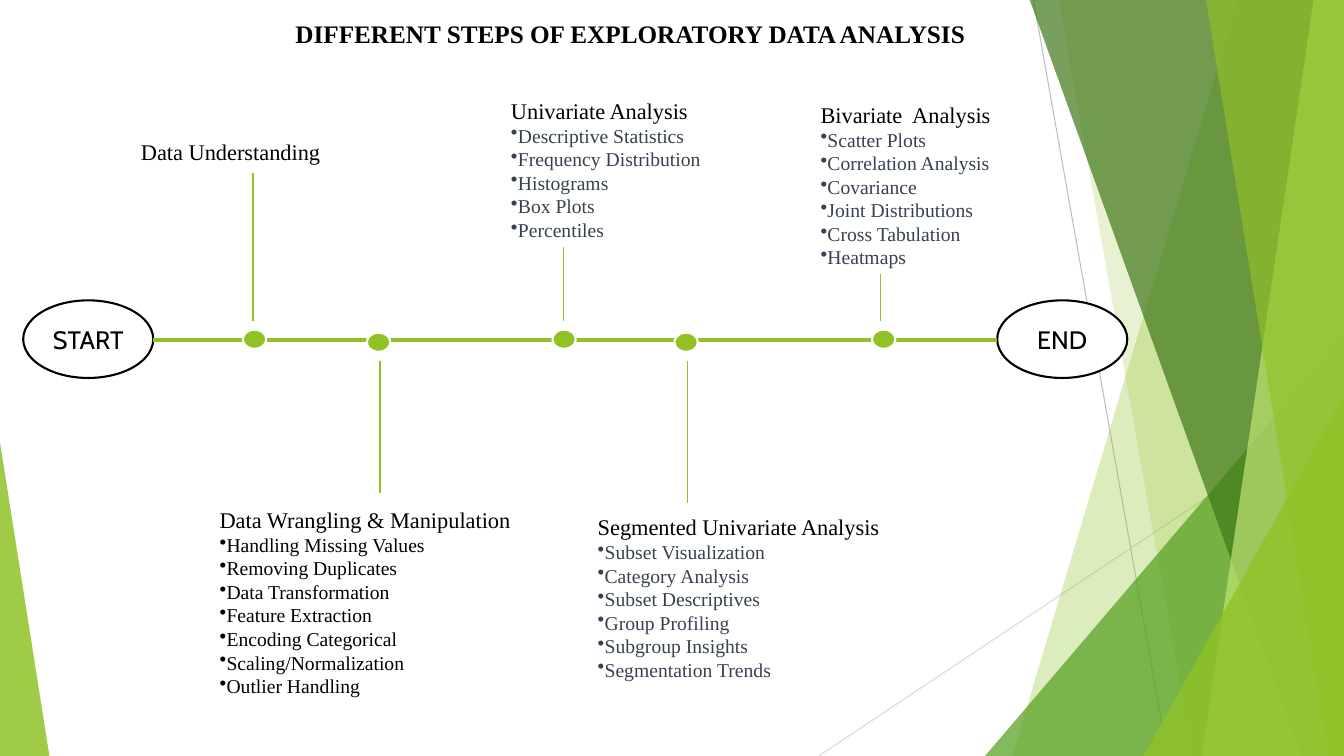
import pptx
import pptx.dml.color
import pptx.enum.shapes
import pptx.enum.text
import pptx.oxml
import pptx.oxml.ns
import pptx.util
from pptx.util import Inches

RGBColor = pptx.dml.color.RGBColor
SHAPE = pptx.enum.shapes.MSO_SHAPE
ALIGN = pptx.enum.text.PP_ALIGN
ANCHOR = pptx.enum.text.MSO_ANCHOR
AUTO_SIZE = pptx.enum.text.MSO_AUTO_SIZE

BLACK = RGBColor(0x00, 0x00, 0x00)
WHITE = RGBColor(0xFF, 0xFF, 0xFF)
SLATE = RGBColor(0x37, 0x41, 0x51)
SILVER = RGBColor(0xBF, 0xBF, 0xBF)
PALE_GREY = RGBColor(0xD9, 0xD9, 0xD9)
LIME = RGBColor(0x90, 0xC2, 0x26)
GREEN = RGBColor(0x54, 0xA0, 0x21)
FOREST = RGBColor(0x3F, 0x78, 0x19)
PALE_LIME = RGBColor(0xC0, 0xE4, 0x74)

SERIF = "Times New Roman"
WIDTH, HEIGHT = 13.33, 7.5
AXIS_Y = 3.37
HEADING_HEIGHT, BULLET_HEIGHT = 0.37, 0.27

# Right-hand bands: x at the top, x at the bottom, colour, opacity in percent
BANDS_BEHIND = [(12.28, 10.04, LIME, 30), (10.5, 11.83, LIME, 20)]
BANDS_IN_FRONT = [
    (10.21, 12.91, FOREST, 70),
    (13.03, 11.92, PALE_LIME, 70),
    (11.96, 13.18, LIME, 65),
]

# Dot (left, top), stem (x, start y, end y), text (left, top, width),
# heading, bullet colour, bullets
STEPS = [
    ((2.41, 3.27), (2.51, 1.72, 3.18), (1.3, 1.32, 2.47),
     "Data Understanding", BLACK, []),
    ((3.64, 3.3), (3.77, 3.58, 4.89), (2.08, 4.97, 4.43),
     "Data Wrangling & Manipulation", BLACK,
     ["Handling Missing Values", "Removing Duplicates", "Data Transformation",
      "Feature Extraction", "Encoding Categorical", "Scaling/Normalization",
      "Outlier Handling"]),
    ((5.48, 3.27), (5.59, 3.18, 2.45), (4.97, 0.91, 2.47),
     "Univariate Analysis", SLATE,
     ["Descriptive Statistics", "Frequency Distribution", "Histograms",
      "Box Plots", "Percentiles"]),
    ((6.69, 3.3), (6.82, 3.58, 4.99), (5.83, 5.04, 3.77),
     "Segmented Univariate Analysis", SLATE,
     ["Subset Visualization", "Category Analysis", "Subset Descriptives",
      "Group Profiling", "Subgroup Insights", "Segmentation Trends"]),
    ((8.65, 3.27), (8.73, 3.18, 2.72), (8.04, 0.95, 2.47),
     "Bivariate  Analysis", SLATE,
     ["Scatter Plots", "Correlation Analysis", "Covariance",
      "Joint Distributions", "Cross Tabulation", "Heatmaps"]),
]


def style_runs(para, size, color, font=SERIF, bold=False):
    for span in para.runs:
        span.font.name = font
        span.font.size = pptx.util.Pt(size)
        span.font.bold = bold
        span.font.color.rgb = color


def fill_translucent(shape, color, opacity):
    shape.shadow.inherit = False
    shape.line.fill.background()
    shape.fill.solid()
    shape.fill.fore_color.rgb = color
    color_element = shape.fill._xPr.find(".//" + pptx.oxml.ns.qn("a:srgbClr"))
    alpha = pptx.oxml.parse_xml(
        f'<a:alpha {pptx.oxml.ns.nsdecls("a")} val="{opacity * 1000}"/>')
    color_element.append(alpha)


def add_line(page, start, end, color, weight):
    line = page.shapes.add_connector(
        pptx.enum.shapes.MSO_CONNECTOR.STRAIGHT,
        *[Inches(value) for value in (*start, *end)])
    line.line.color.rgb = color
    line.line.width = pptx.util.Pt(weight)
    properties = line._element.spPr
    properties.append(pptx.oxml.parse_xml(
        f'<a:effectLst {pptx.oxml.ns.nsdecls("a")}/>'))


def add_band(page, top_x, bottom_x, color, opacity):
    """Fill the area between a slanted edge and the right side of the slide."""
    top = Inches(-0.01)
    right, bottom = Inches(WIDTH), Inches(HEIGHT)
    outline = page.shapes.build_freeform(Inches(top_x), top, scale=1.0)
    outline.add_line_segments(
        [(right, top), (right, bottom), (Inches(bottom_x), bottom)], close=True)
    fill_translucent(outline.convert_to_shape(), color, opacity)


def add_corner(page, left, top, width, apex, color, opacity):
    """Stand a triangle on the bottom edge, with its apex at 0 left or 1 right."""
    corner = page.shapes.add_shape(
        SHAPE.ISOSCELES_TRIANGLE, Inches(left), Inches(top),
        Inches(width), Inches(HEIGHT - top))
    corner.adjustments[0] = apex
    fill_translucent(corner, color, opacity)


def add_ellipse(page, left, top, width, height, fill, outline):
    ellipse = page.shapes.add_shape(
        SHAPE.OVAL, Inches(left), Inches(top), Inches(width), Inches(height))
    ellipse.shadow.inherit = False
    ellipse.fill.solid()
    ellipse.fill.fore_color.rgb = fill
    ellipse.line.color.rgb = outline
    ellipse.line.width = pptx.util.Pt(1.5)
    return ellipse


def add_terminal(page, left, label):
    terminal = add_ellipse(page, left, 2.98, 1.29, 0.77, WHITE, BLACK)
    frame = terminal.text_frame
    frame.text = label
    frame.vertical_anchor = ANCHOR.MIDDLE
    frame.paragraphs[0].alignment = ALIGN.CENTER
    style_runs(frame.paragraphs[0], 18, BLACK, "Cabin")


def add_bullet(para):
    para._p.get_or_add_pPr().append(pptx.oxml.parse_xml(
        f'<a:buChar {pptx.oxml.ns.nsdecls("a")} char="•"/>'))


def add_step_text(page, left, top, width, heading, bullets, bullet_color):
    height = HEADING_HEIGHT + BULLET_HEIGHT * len(bullets)
    box = page.shapes.add_textbox(
        Inches(left), Inches(top), Inches(width), Inches(height))
    frame = box.text_frame
    frame.word_wrap = True
    frame.auto_size = AUTO_SIZE.SHAPE_TO_FIT_TEXT
    frame.text = heading
    style_runs(frame.paragraphs[0], 16, BLACK)
    for bullet in bullets:
        para = frame.add_paragraph()
        para.text = bullet
        add_bullet(para)
        style_runs(para, 14, bullet_color)


def set_title(page, text):
    title = page.shapes.title
    title.left, title.top = Inches(2.83), Inches(0.13)
    title.width, title.height = Inches(6.91), Inches(0.4)
    frame = title.text_frame
    frame.text = text
    frame.word_wrap = False
    frame.auto_size = AUTO_SIZE.SHAPE_TO_FIT_TEXT
    frame.vertical_anchor = ANCHOR.TOP
    frame.paragraphs[0].alignment = ALIGN.LEFT
    style_runs(frame.paragraphs[0], 18, BLACK, bold=True)


def add_backdrop(page):
    add_line(page, (10.25, 0), (11.58, HEIGHT), SILVER, 0.75)
    add_line(page, (WIDTH, 4.03), (8.12, HEIGHT), PALE_GREY, 0.75)
    for band in BANDS_BEHIND:
        add_band(page, *band)
    add_corner(page, 9.77, 3.33, 3.56, 1, GREEN, 72)
    for band in BANDS_IN_FRONT:
        add_band(page, *band)
    add_corner(page, 11.34, 3.93, 1.99, 1, LIME, 80)
    add_corner(page, 0, 4.39, 0.49, 0, LIME, 85)


def main():
    deck = pptx.Presentation()
    deck.slide_width, deck.slide_height = Inches(WIDTH), Inches(HEIGHT)
    page = deck.slides.add_slide(deck.slide_layouts.get_by_name("Title Only"))
    set_title(page, "DIFFERENT STEPS OF EXPLORATORY DATA ANALYSIS")
    add_backdrop(page)
    add_terminal(page, 0.23, "START")
    add_terminal(page, 9.89, "END")
    add_line(page, (1.52, AXIS_Y), (9.89, AXIS_Y), LIME, 3)
    for dot, stem, place, heading, bullet_color, bullets in STEPS:
        add_ellipse(page, *dot, 0.23, 0.19, LIME, WHITE)
        stem_x, start_y, end_y = stem
        add_line(page, (stem_x, start_y), (stem_x, end_y), LIME, 1)
        add_step_text(page, *place, heading, bullets, bullet_color)
    deck.save("out.pptx")


if __name__ == "__main__":
    main()
